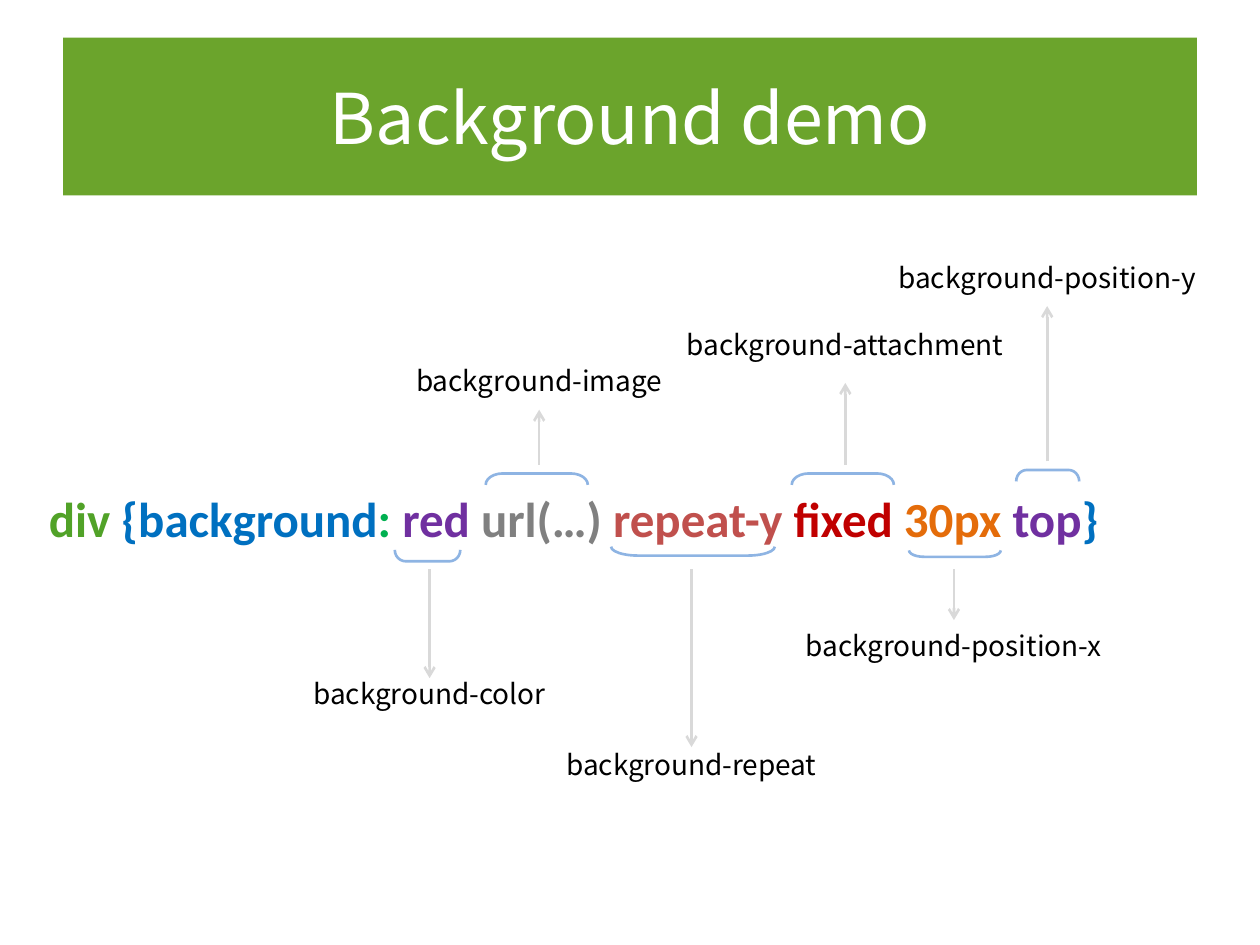
from dataclasses import dataclass

from lxml.etree import SubElement
from pptx import Presentation
from pptx.dml.color import RGBColor as RGB
from pptx.enum.shapes import MSO_CONNECTOR as Link, MSO_SHAPE as Shape
from pptx.enum.text import MSO_ANCHOR as Anchor, PP_ALIGN as Align
from pptx.oxml.ns import qn
from pptx.util import Cm, Pt


@dataclass
class Theme:
    font: str = "Noto Sans CJK SC"
    mono: str = "Calibri"
    big: int = 40
    code: int = 28
    small: int = 16
    line: float = 1.5
    green: str = "6BA42C"
    white: str = "FFFFFF"
    black: str = "000000"
    arrow: str = "D9D9D9"
    brace: str = "8EB4E3"
    lime: str = "51A228"
    blue: str = "0070C0"
    mint: str = "00B050"
    plum: str = "7030A0"
    grey: str = "808080"
    rose: str = "C0504D"
    red: str = "C00000"
    amber: str = "E46C0A"


look = Theme()


def write(frame, *parts, font=look.font, size=look.small, bold=False, wrap=False):
    """Fill a frame with one centred line of (text, colour) parts."""
    frame.word_wrap = wrap
    line = frame.paragraphs[0]
    line.alignment = Align.CENTER
    for text, hue in parts:
        run = line.add_run()
        run.text = text
        run.font.name, run.font.size, run.font.bold = font, Pt(size), bold
        run.font.color.rgb = RGB.from_string(hue)


deck = Presentation()
deck.slide_width, deck.slide_height = Cm(25.4), Cm(19.05)
slide = deck.slides.add_slide(deck.slide_layouts[5])
shapes = slide.shapes

# Title band
title = shapes.title
title.left, title.top, title.width, title.height = Cm(1.27), Cm(0.76), Cm(22.86), Cm(3.18)
title.fill.solid()
title.fill.fore_color.rgb = RGB.from_string(look.green)
title.text_frame.vertical_anchor = Anchor.MIDDLE
write(title.text_frame, ("Background demo", look.white), size=look.big, wrap=True)

# Code line, one colour for each value
code = shapes.add_textbox(Cm(0.58), Cm(9.73), Cm(21.97), Cm(1.45))
write(code.text_frame,
      ("div ", look.lime), ("{background", look.blue), (": ", look.mint),
      ("red ", look.plum), ("url(…) ", look.grey), ("repeat-y ", look.rose),
      ("fixed ", look.red), ("30px ", look.amber), ("top", look.plum),
      ("}", look.blue), font=look.mono, size=look.code, bold=True)

# Name, its top and width; arrow x, start and end; bracket centre x and y, length, depth
marks = [
    ("color", 13.51, 5.51, 8.66, 11.48, 13.67, 8.62, 11.2, 1.32, 0.23),
    ("image", 7.21, 5.84, 10.87, 9.37, 8.26, 10.82, 9.66, 2.06, 0.23),
    ("position-x", 12.55, 6.93, 19.23, 11.48, 12.5, 19.25, 11.16, 1.85, 0.13),
    ("attachment", 6.48, 7.32, 17.04, 9.37, 7.72, 16.99, 9.66, 2.06, 0.23),
    ("repeat", 14.94, 5.92, 13.94, 11.48, 15.06, 13.97, 11.11, 3.3, 0.18),
    ("position-y", 5.13, 6.78, 21.11, 9.3, 6.17, 21.12, 9.59, 1.27, 0.23),
]
for name, top, wide, x, start, end, mid, level, span, depth in marks:
    # Arrow from the value to its property
    arrow = shapes.add_connector(Link.STRAIGHT, Cm(x), Cm(start), Cm(x), Cm(end))
    arrow.line.color.rgb = RGB.from_string(look.arrow)
    arrow.line.width = Pt(look.line)
    SubElement(arrow.line._get_or_add_ln(), qn("a:tailEnd"), type="arrow")
    SubElement(arrow._element.spPr, qn("a:effectLst"))

    # Bracket turned to open towards the code
    brace = shapes.add_shape(Shape.LEFT_BRACKET, Cm(mid - depth / 2),
                             Cm(level - span / 2), Cm(depth), Cm(span))
    brace.rotation = 90 if end < start else 270
    brace.adjustments[0] = span / 6 / depth
    brace.shadow.inherit = False
    brace.fill.background()
    brace.line.color.rgb = RGB.from_string(look.brace)
    brace.line.width = Pt(look.line)

    # Property name centred on the arrow
    label = shapes.add_textbox(Cm(x - wide / 2), Cm(top), Cm(wide), Cm(0.94))
    write(label.text_frame, (f"background-{name}", look.black))

deck.save("out.pptx")
